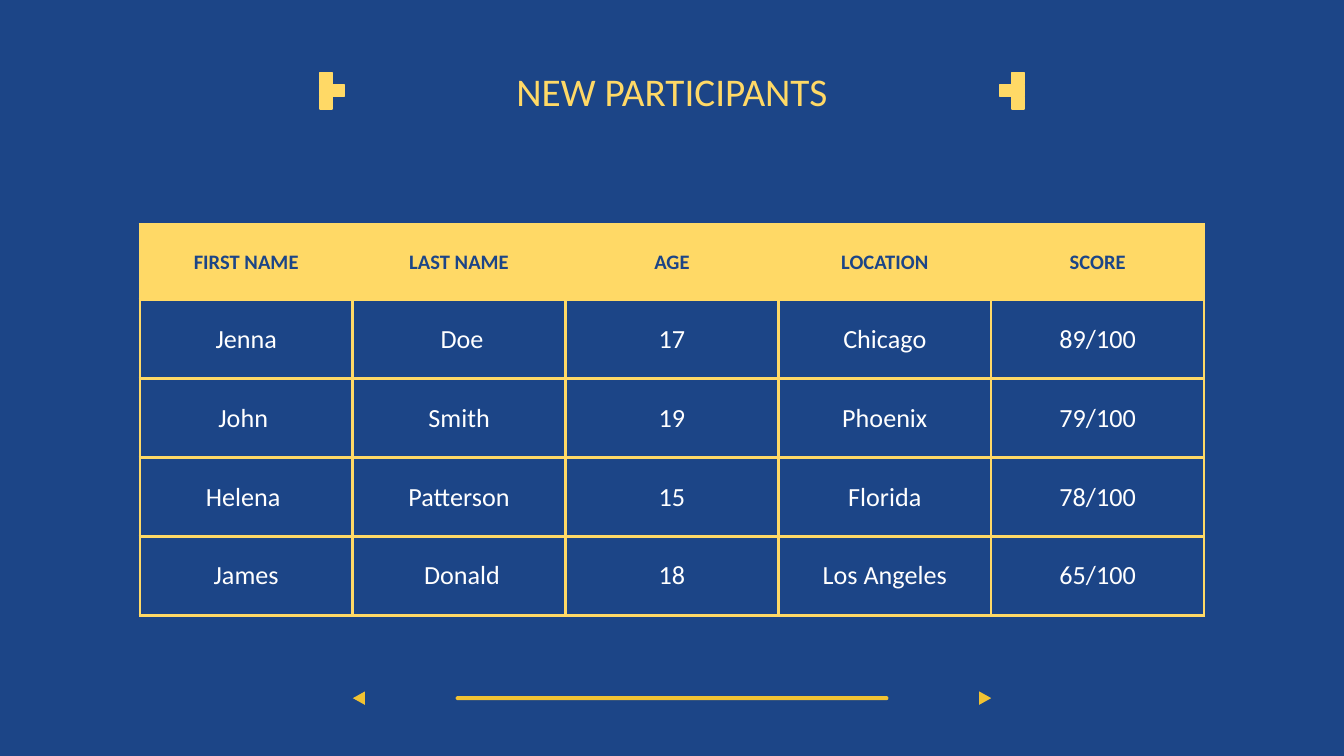
from dataclasses import dataclass

from lxml import etree
from pptx import Presentation
from pptx.dml.color import RGBColor
from pptx.enum.shapes import MSO_SHAPE
from pptx.enum.text import MSO_ANCHOR, PP_ALIGN
from pptx.oxml.ns import qn
from pptx.util import Inches, Pt

RECTANGLE = MSO_SHAPE.RECTANGLE
ROUNDED = MSO_SHAPE.ROUNDED_RECTANGLE
TRIANGLE = MSO_SHAPE.ISOSCELES_TRIANGLE
CENTER = PP_ALIGN.CENTER
MIDDLE = MSO_ANCHOR.MIDDLE
BOTTOM = MSO_ANCHOR.BOTTOM

SLIDE_WIDTH = 10
SLIDE_HEIGHT = SLIDE_WIDTH * 9 / 16


@dataclass(frozen=True)
class Theme:
    font: str = "Calibri"
    blue: str = "1C4587"
    yellow: str = "FFD966"
    gold: str = "F1C232"
    white: str = "FFFFFF"
    title_size: float = 21
    header_size: float = 11
    body_size: float = 14
    border: float = 1.5
    outline: float = 0.75
    inset: float = 0.1


THEME = Theme()

HEADERS = ["FIRST NAME", "LAST NAME", "AGE", "LOCATION", "SCORE"]
PARTICIPANTS = [
    ["Jenna", " Doe", "17", "Chicago", "89/100"],
    ["John ", "Smith", "19", "Phoenix", "79/100"],
    ["Helena ", "Patterson", "15", "Florida", "78/100"],
    ["James", " Donald", "18", "Los Angeles", "65/100"],
]


def paint(fill, color):
    fill.solid()
    fill.fore_color.rgb = RGBColor.from_string(color)


def write(frame, text, size, color, bold=False):
    para = frame.paragraphs[0]
    para.alignment = CENTER
    span = para.add_run()
    span.text = text
    span.font.name = THEME.font
    span.font.size = Pt(size)
    span.font.bold = bold
    span.font.color.rgb = RGBColor.from_string(color)


def set_insets(holder):
    """Give a cell or text frame the same margin on every side."""
    holder.margin_left = holder.margin_right = Inches(THEME.inset)
    holder.margin_top = holder.margin_bottom = Inches(THEME.inset)


def add_block(shapes, kind, left, top, width, height, color, outline=None):
    block = shapes.add_shape(
        kind, Inches(left), Inches(top), Inches(width), Inches(height))
    block.shadow.inherit = False
    paint(block.fill, color)
    if outline:
        paint(block.line.fill, color)
        block.line.width = Pt(outline)
    else:
        block.line.fill.background()
    return block


def add_title(page, text, left, top, width, height):
    title = page.shapes.title
    title.left, title.top = Inches(left), Inches(top)
    title.width, title.height = Inches(width), Inches(height)
    frame = title.text_frame
    frame.word_wrap = True
    frame.vertical_anchor = BOTTOM
    set_insets(frame)
    write(frame, text, THEME.title_size, THEME.yellow)


def add_pixel_bracket(page, left, top, side, direction):
    """Stack three squares with a fourth beside the middle one."""
    group = page.shapes.add_group_shape()
    for column, row in [(0, 0), (0, 1), (0, 2), (direction, 1)]:
        add_block(group.shapes, RECTANGLE, left + column * side,
                  top + row * side, side, side, THEME.yellow, THEME.outline)


def set_borders(cell):
    properties = cell._tc.get_or_add_tcPr()
    for index, edge in enumerate(["a:lnL", "a:lnR", "a:lnT", "a:lnB"]):
        line = etree.Element(qn(edge), w=str(Pt(THEME.border)))
        fill = etree.SubElement(line, qn("a:solidFill"))
        etree.SubElement(fill, qn("a:srgbClr"), val=THEME.yellow)
        properties.insert(index, line)


def add_participant_table(page, left, top, width, height, header_height):
    rows = [HEADERS] + PARTICIPANTS
    row_height = (height - header_height) / len(PARTICIPANTS)
    table = page.shapes.add_table(
        len(rows), len(HEADERS), Inches(left), Inches(top),
        Inches(width), Inches(height)).table
    table.first_row = table.horz_banding = False
    for row_index, values in enumerate(rows):
        is_header = row_index == 0
        table.rows[row_index].height = Inches(
            header_height if is_header else row_height)
        for column_index, value in enumerate(values):
            cell = table.cell(row_index, column_index)
            cell.vertical_anchor = MIDDLE
            set_insets(cell)
            if is_header:
                paint(cell.fill, THEME.yellow)
                write(cell.text_frame, value, THEME.header_size, THEME.blue,
                      bold=True)
            else:
                cell.fill.background()
                write(cell.text_frame, value, THEME.body_size, THEME.white)
            set_borders(cell)


def add_slider(page, left, top, width, height):
    """Center a bar in the box, with an arrow pointing out at each end."""
    bar_width, bar_height = 3.22, 0.03
    bar = add_block(page.shapes, ROUNDED, left + (width - bar_width) / 2,
                    top + (height - bar_height) / 2, bar_width, bar_height,
                    THEME.gold)
    bar.adjustments[0] = 0.5
    arrow_width = 0.1
    for arrow_left, rotation in [(left, 270),
                                 (left + width - arrow_width, 90)]:
        arrow = add_block(page.shapes, TRIANGLE, arrow_left, top,
                          arrow_width, height, THEME.gold)
        arrow.rotation = rotation


def main():
    deck = Presentation()
    deck.slide_width = Inches(SLIDE_WIDTH)
    deck.slide_height = Inches(SLIDE_HEIGHT)
    title_only = deck.slide_layouts[5]
    page = deck.slides.add_slide(title_only)
    paint(page.background.fill, THEME.blue)
    add_title(page, "NEW PARTICIPANTS", 0.34, 0.32, 9.32, 0.63)
    add_participant_table(page, 1.04, 1.67, 7.92, 2.91, header_height=0.56)
    add_slider(page, 2.62, 5.15, 4.76, 0.09)
    add_pixel_bracket(page, 2.38, 0.54, 0.09, direction=1)
    add_pixel_bracket(page, 7.53, 0.54, 0.09, direction=-1)
    deck.save("out.pptx")


if __name__ == "__main__":
    main()
